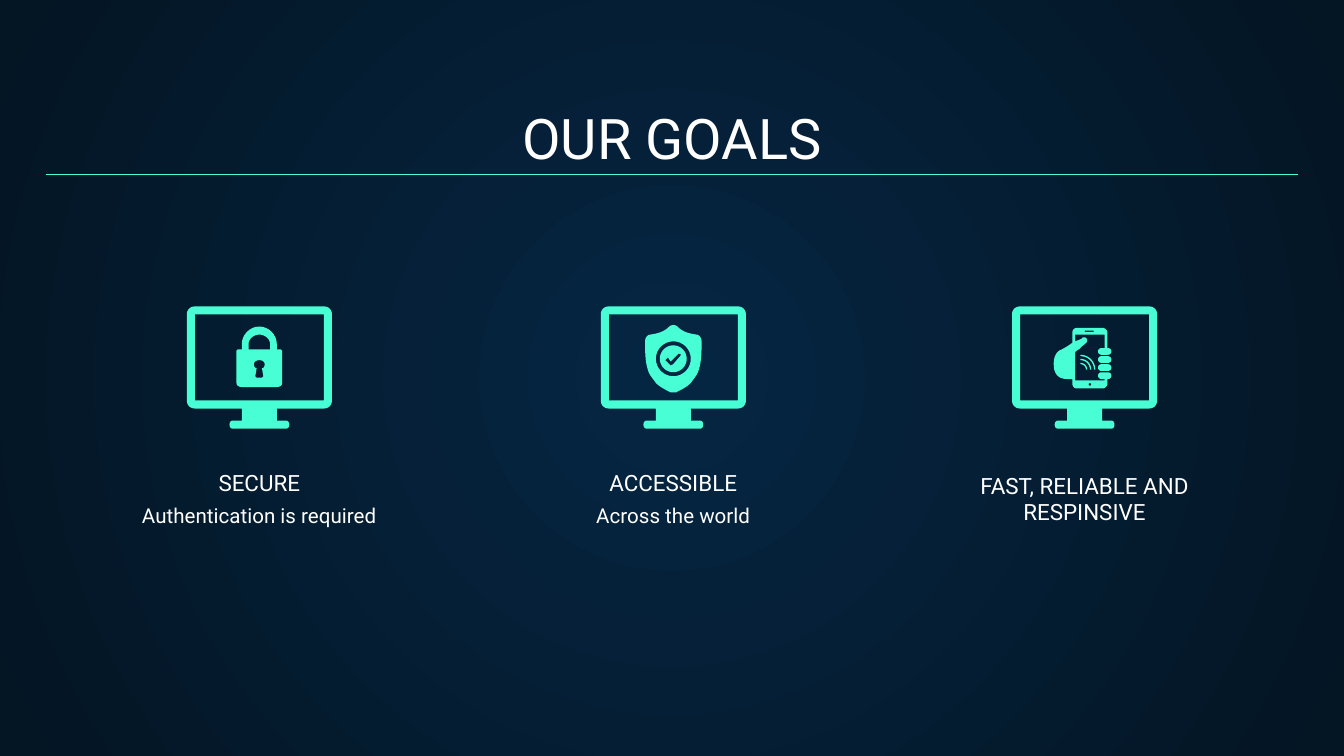
from dataclasses import dataclass
from math import cos, pi, sin

from pptx import Presentation
from pptx.dml.color import RGBColor
from pptx.enum.shapes import MSO_CONNECTOR
from pptx.enum.text import MSO_ANCHOR, PP_ALIGN
from pptx.oxml import parse_xml
from pptx.oxml.ns import nsdecls, qn
from pptx.util import Inches, Pt


@dataclass(frozen=True)
class Theme:
    font: str = "Roboto"
    text: RGBColor = RGBColor(0xFF, 0xFF, 0xFF)
    accent: RGBColor = RGBColor(0x48, 0xFF, 0xD5)
    bg_center: RGBColor = RGBColor(0x05, 0x26, 0x43)
    bg_edge: RGBColor = RGBColor(0x04, 0x15, 0x23)
    title: Pt = Pt(30)
    goal: Pt = Pt(12)
    detail: Pt = Pt(11)
    rule: Pt = Pt(0.75)


THEME = Theme()
LABEL_W = 2.27
DETAIL_W = 2.07


def trace(*steps):
    """Turn points (x, y) and cubic curves (x1, y1, x2, y2, x, y) into points."""
    points = []
    for step in steps:
        if len(step) == 2:
            points.append(step)
            continue
        x0, y0 = points[-1]
        x1, y1, x2, y2, x3, y3 = step
        for i in range(1, 9):
            t = i / 8
            u = 1 - t
            a, b, c, d = u**3, 3 * u * u * t, 3 * u * t * t, t**3
            points.append((a * x0 + b * x1 + c * x2 + d * x3,
                           a * y0 + b * y1 + c * y2 + d * y3))
    return points


def mirrored(*steps):
    """Close a right half, drawn from top to bottom around x = 0, with its mirror."""
    right = trace(*steps)
    return right + [(-x, y) for x, y in reversed(right)]


def arc(x, y, radius, start=0, end=2 * pi, n=32):
    angles = [start + (end - start) * i / n for i in range(n + 1)]
    return [(x + radius * cos(a), y + radius * sin(a)) for a in angles]


def pill(left, top, w, h):
    r = h / 2
    return (arc(left + w - r, top + r, r, -pi / 2, pi / 2, 10)
            + arc(left + r, top + r, r, pi / 2, 3 * pi / 2, 10))


def wave(radius):
    x, y = -0.03, 2.75
    return (arc(x, y, radius, -pi / 2, 0, 12)
            + arc(x, y, radius - 0.01, 0, -pi / 2, 12))


def add_outline(shapes, cx, *contours):
    """Draw contours around cx as one shape; inner contours become holes."""
    builder = None
    for contour in contours:
        points = [(Inches(cx + x), Inches(y)) for x, y in contour]
        if builder is None:
            builder = shapes.build_freeform(*points[0], scale=1.0)
        else:
            builder.move_to(*points[0])
        builder.add_line_segments(points[1:], close=True)
    sp = builder.convert_to_shape()
    sp.shadow.inherit = False
    sp.fill.solid()
    sp.fill.fore_color.rgb = THEME.accent
    sp.line.fill.background()


def add_monitor(shapes, cx):
    body = mirrored((0, 2.28), (0.48, 2.28), (0.52, 2.28, 0.54, 2.31, 0.54, 2.34),
                    (0.54, 2.98), (0.54, 3.01, 0.52, 3.04, 0.48, 3.04),
                    (0.13, 3.04), (0.13, 3.13), (0.2, 3.13),
                    (0.23, 3.13, 0.23, 3.19, 0.2, 3.19), (0, 3.19))
    screen = mirrored((0, 2.34), (0.48, 2.34), (0.48, 2.98), (0, 2.98))
    add_outline(shapes, cx, body, screen)


def add_padlock(shapes, cx):
    body = mirrored((0, 2.43), (0.07, 2.43, 0.13, 2.49, 0.13, 2.56), (0.13, 2.6),
                    (0.16, 2.6), (0.17, 2.61), (0.17, 2.85),
                    (0.17, 2.87, 0.15, 2.88, 0.13, 2.88), (0, 2.88))
    shackle = mirrored((0, 2.49), (0.04, 2.49, 0.08, 2.52, 0.08, 2.56),
                       (0.08, 2.6), (0, 2.6))
    keyhole = mirrored((0, 2.68), (0.02, 2.68, 0.04, 2.69, 0.04, 2.71),
                       (0.04, 2.73, 0.03, 2.74, 0.02, 2.74),
                       (0.03, 2.8), (0.02, 2.81), (0, 2.81))
    add_outline(shapes, cx, body, shackle, keyhole)


def add_shield(shapes, cx):
    body = mirrored((0, 2.42), (0.01, 2.42, 0.02, 2.42, 0.03, 2.43),
                    (0.07, 2.47, 0.11, 2.48, 0.17, 2.49),
                    (0.19, 2.49, 0.21, 2.51, 0.21, 2.54), (0.21, 2.56),
                    (0.21, 2.61, 0.21, 2.69, 0.19, 2.75),
                    (0.18, 2.79, 0.15, 2.82, 0.13, 2.85),
                    (0.1, 2.88, 0.06, 2.9, 0.02, 2.92), (0, 2.92))
    check = [(-0.06, 2.68), (-0.04, 2.66), (-0.02, 2.69), (0.04, 2.63),
             (0.06, 2.64), (0, 2.71), (-0.02, 2.72)]
    add_outline(shapes, cx, arc(0, 2.67, 0.1), check)
    add_outline(shapes, cx, body, arc(0, 2.67, 0.13))


def add_phone_in_hand(shapes, cx):
    body = trace((-0.06, 2.44), (-0.08, 2.44, -0.09, 2.46, -0.09, 2.47), (-0.09, 2.55),
                 (-0.13, 2.58, -0.17, 2.6, -0.17, 2.6),
                 (-0.2, 2.61, -0.23, 2.64, -0.23, 2.71),
                 (-0.23, 2.82, -0.15, 2.82, -0.13, 2.82), (-0.09, 2.82), (-0.09, 2.86),
                 (-0.09, 2.87, -0.08, 2.89, -0.06, 2.89), (0.14, 2.89),
                 (0.15, 2.89, 0.17, 2.87, 0.17, 2.86), (0.17, 2.82), (0.15, 2.82),
                 (0.15, 2.83), (-0.07, 2.83), (-0.07, 2.62),
                 (-0.06, 2.61, -0.05, 2.6, -0.04, 2.6),
                 (-0.02, 2.57, 0.01, 2.56, 0.02, 2.54),
                 (0.02, 2.52, 0.01, 2.51, 0, 2.51),
                 (-0.01, 2.51, -0.02, 2.51, -0.02, 2.52), (-0.07, 2.54),
                 (-0.07, 2.49), (0.15, 2.49), (0.15, 2.59), (0.17, 2.59), (0.17, 2.47),
                 (0.17, 2.46, 0.15, 2.44, 0.14, 2.44))
    fingers = [pill(0.1, 2.59 + 0.06 * i, 0.1, 0.05) for i in range(4)]
    waves = [wave(r) for r in (0.05, 0.08, 0.11)]
    add_outline(shapes, cx, body, pill(0, 2.46, 0.07, 0.01), arc(0.04, 2.86, 0.01),
                *fingers, *waves)


def add_text(s, text, left, top, w, h, size, anchor=MSO_ANCHOR.BOTTOM):
    tf = s.shapes.add_textbox(Inches(left), Inches(top), Inches(w), Inches(h)).text_frame
    tf.word_wrap = True
    tf.vertical_anchor = anchor
    tf.margin_left = tf.margin_right = tf.margin_top = tf.margin_bottom = Inches(0.1)
    p = tf.paragraphs[0]
    p.text = text
    p.alignment = PP_ALIGN.CENTER
    p.font.name = THEME.font
    p.font.size = size
    p.font.color.rgb = THEME.text


def add_rule(s, left, right, y):
    line = s.shapes.add_connector(MSO_CONNECTOR.STRAIGHT, Inches(left), Inches(y),
                                  Inches(right), Inches(y))
    line.line.color.rgb = THEME.accent
    line.line.width = THEME.rule
    line._element.spPr.append(parse_xml(f"<a:effectLst {nsdecls('a')}/>"))


def set_background(s):
    fill = s.background.fill
    fill.gradient()
    for stop, color in zip(fill.gradient_stops, (THEME.bg_center, THEME.bg_edge)):
        stop.color.rgb = color
    grad = s._element.find(".//" + qn("a:gradFill"))
    grad.replace(grad.find(qn("a:lin")), parse_xml(
        f'<a:path {nsdecls("a")} path="circle">'
        '<a:fillToRect l="50000" t="50000" r="50000" b="50000"/></a:path>'))


def add_goal(s, cx, draw_icon, label, label_top, detail):
    add_text(s, label, cx - LABEL_W / 2, label_top, LABEL_W, 0.21, THEME.goal)
    if detail:
        add_text(s, detail, cx - DETAIL_W / 2, 3.65, DETAIL_W, 0.55, THEME.detail,
                 MSO_ANCHOR.TOP)
    icon = s.shapes.add_group_shape().shapes
    add_monitor(icon, cx)
    draw_icon(icon, cx)


def main():
    prs = Presentation()
    prs.slide_width = Inches(10)
    prs.slide_height = prs.slide_width * 9 // 16
    s = prs.slides.add_slide(prs.slide_layouts[6])
    set_background(s)
    add_text(s, "OUR GOALS", 0.34, 0.71, 9.32, 0.66, THEME.title)
    goals = [
        (1.93, add_padlock, "SECURE", 3.58, "Authentication is required"),
        (5.01, add_shield, "ACCESSIBLE", 3.58, "Across the world"),
        (8.07, add_phone_in_hand, "FAST, RELIABLE AND RESPINSIVE", 3.8, None),
    ]
    for goal in goals:
        add_goal(s, *goal)
    add_rule(s, 0.34, 9.66, 1.3)
    prs.save("out.pptx")


if __name__ == "__main__":
    main()
